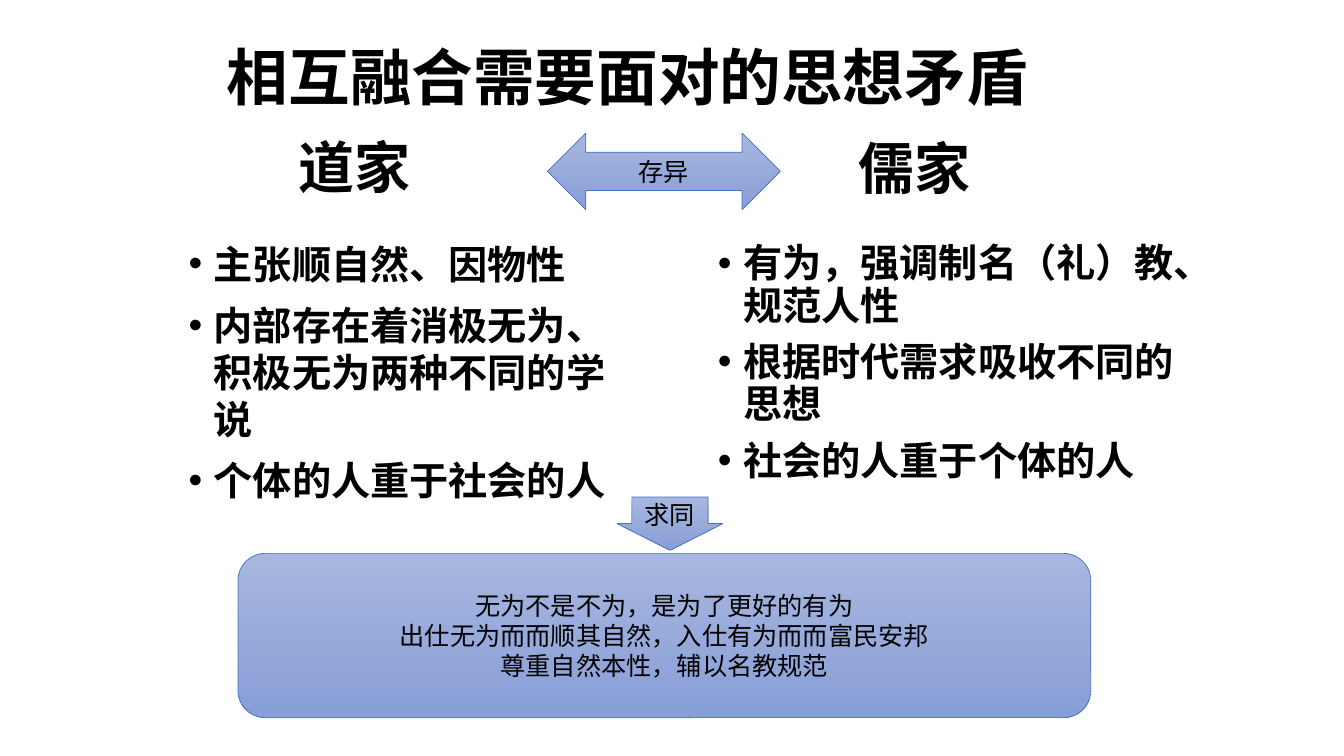
from lxml import etree
from pptx import Presentation
from pptx import util as u
from pptx.dml.color import RGBColor
from pptx.enum import shapes, text
from pptx.oxml import ns

FONT = "Noto Sans CJK SC"
BLACK = RGBColor(0x00, 0x00, 0x00)
LIGHT_BLUE = RGBColor(0xA8, 0xB7, 0xDF)
MID_BLUE = RGBColor(0x88, 0x9E, 0xD7)
LINE_BLUE = RGBColor(0x44, 0x72, 0xC4)
LEFT, CENTER = text.PP_ALIGN.LEFT, text.PP_ALIGN.CENTER
TOP, MIDDLE, BOTTOM = (text.MSO_ANCHOR.TOP, text.MSO_ANCHOR.MIDDLE,
                       text.MSO_ANCHOR.BOTTOM)


def write(sp, lines, size=18, bold=False, align=LEFT, anchor=TOP,
          spacing=1.0, before=0, margin=0, hanging=0, bullet=None):
    """Fill a shape with one formatted paragraph per line."""
    tf = sp.text_frame
    tf.word_wrap = True
    tf.auto_size = text.MSO_AUTO_SIZE.NONE
    tf.vertical_anchor = anchor
    for i, line in enumerate(lines):
        p = tf.paragraphs[0] if i == 0 else tf.add_paragraph()
        p.alignment = align
        p.line_spacing = spacing
        p.space_before = u.Pt(before)
        pPr = p._p.get_or_add_pPr()
        pPr.set("marL", str(u.Inches(margin)))
        pPr.set("indent", str(-u.Inches(hanging)))
        if bullet:
            etree.SubElement(pPr, ns.qn("a:buFont")).set("typeface", "Arial")
            etree.SubElement(pPr, ns.qn("a:buChar")).set("char", bullet)
        r = p.add_run()
        r.text = line
        r.font.size = u.Pt(size)
        r.font.bold = bold
        r.font.name = FONT
        r.font.color.rgb = BLACK
        ea = etree.SubElement(r._r.get_or_add_rPr(), ns.qn("a:ea"))
        ea.set("typeface", FONT)


def place(sp, box):
    """Move a placeholder to a box given in inches."""
    sp.left, sp.top, sp.width, sp.height = map(u.Inches, box)


def add_title(s, box, title):
    """Set the slide title."""
    sp = s.shapes.title
    place(sp, box)
    write(sp, [title], size=44, bold=True, anchor=MIDDLE, spacing=0.9,
          margin=1.23)


def add_heading(s, idx, box, heading):
    """Set the name of a school above its list."""
    sp = s.placeholders[idx]
    place(sp, box)
    write(sp, [heading], size=40, bold=True, anchor=BOTTOM, spacing=0.9,
          before=10, margin=1.74)


def add_views(s, idx, box, views, spacing):
    """Set the bulleted views of a school."""
    sp = s.placeholders[idx]
    place(sp, box)
    write(sp, views, size=28, bold=True, spacing=spacing, before=10,
          margin=0.25, hanging=0.25, bullet="•")


def add_block(s, kind, box, lines, adjustments=()):
    """Draw a gradient shape with centred text."""
    sp = s.shapes.add_shape(kind, *map(u.Inches, box))
    for i, value in enumerate(adjustments):
        sp.adjustments[i] = value
    sp.shadow.inherit = False
    sp.fill.gradient()
    sp.fill.gradient_angle = 270
    for stop, color, position in zip(sp.fill.gradient_stops,
                                     (LIGHT_BLUE, MID_BLUE), (0, 1)):
        stop.color.rgb = color
        stop.position = position
    sp.line.color.rgb = LINE_BLUE
    sp.line.width = u.Pt(0.5)
    write(sp, lines, align=CENTER, anchor=MIDDLE)


def build_comparison(prs):
    """Build the slide that compares the two schools."""
    s = prs.slides.add_slide(prs.slide_layouts.get_by_name("Comparison"))
    add_title(s, (0.92, 0.07, 11.5, 1.45), "相互融合需要面对的思想矛盾")
    add_heading(s, 1, (1.12, 1.21, 4.45, 0.83), "道家")
    add_views(s, 2, (1.77, 2.33, 4.67, 4.11),
              ["主张顺自然、因物性",
               "内部存在着消极无为、积极无为两种不同的学说",
               "个体的人重于社会的人"], spacing=1.0)
    add_heading(s, 3, (6.67, 1.29, 5.65, 0.76), "儒家")
    add_views(s, 4, (7.02, 2.37, 4.8, 4.03),
              ["有为，强调制名（礼）教、规范人性",
               "根据时代需求吸收不同的思想",
               "社会的人重于个体的人"], spacing=0.9)
    kinds = shapes.MSO_SHAPE
    add_block(s, kinds.ROUNDED_RECTANGLE, (2.36, 5.49, 8.46, 1.63),
              ["无为不是不为，是为了更好的有为",
               "出仕无为而而顺其自然，入仕有为而而富民安邦",
               "尊重自然本性，辅以名教规范"])
    add_block(s, kinds.LEFT_RIGHT_ARROW, (5.43, 1.32, 2.31, 0.76), ["存异"])
    add_block(s, kinds.DOWN_ARROW, (6.12, 4.93, 1.05, 0.53), ["求同"],
              adjustments=(0.72, 0.5))


prs = Presentation()
prs.slide_width, prs.slide_height = u.Inches(13.33), u.Inches(7.5)
build_comparison(prs)
prs.save("out.pptx")
